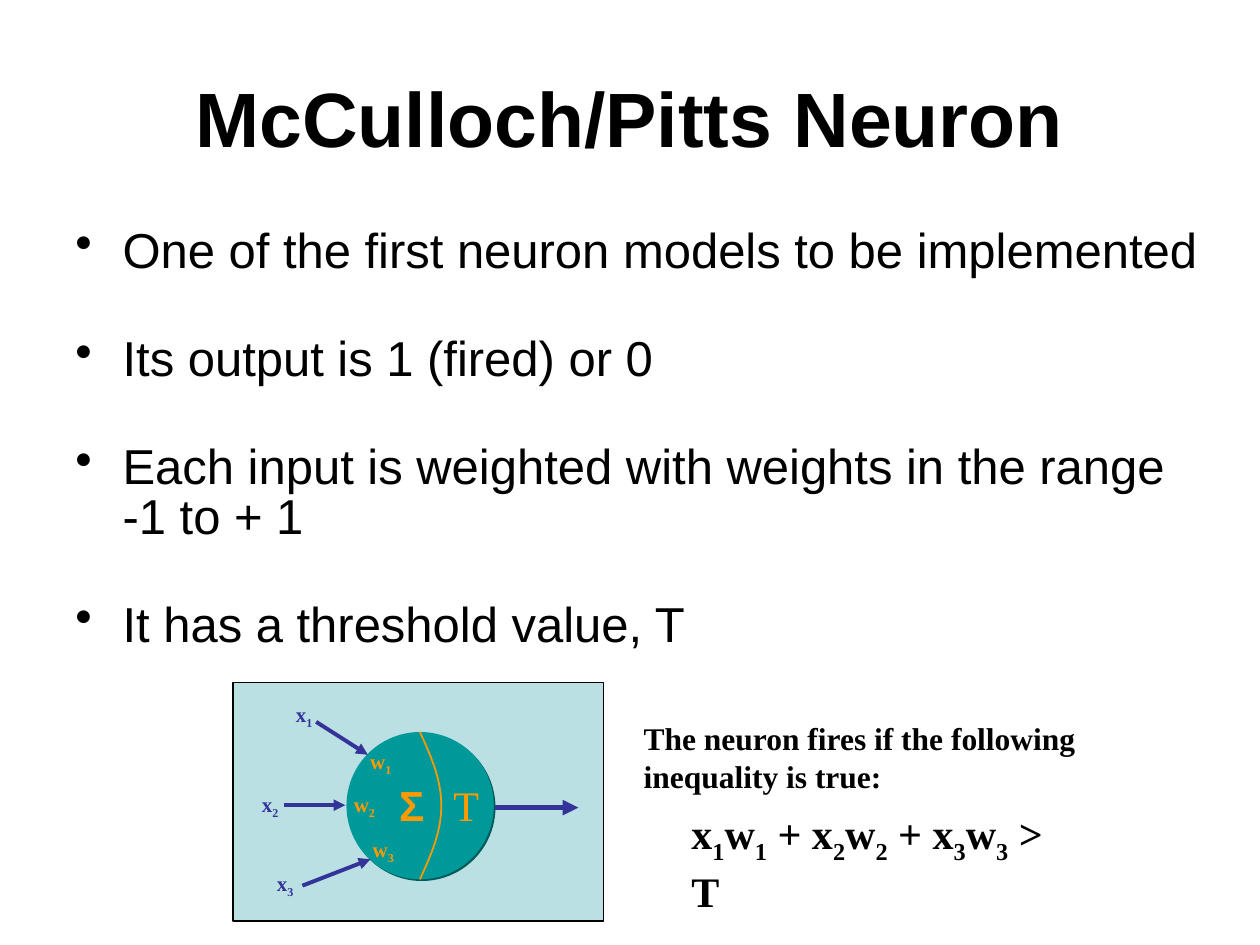
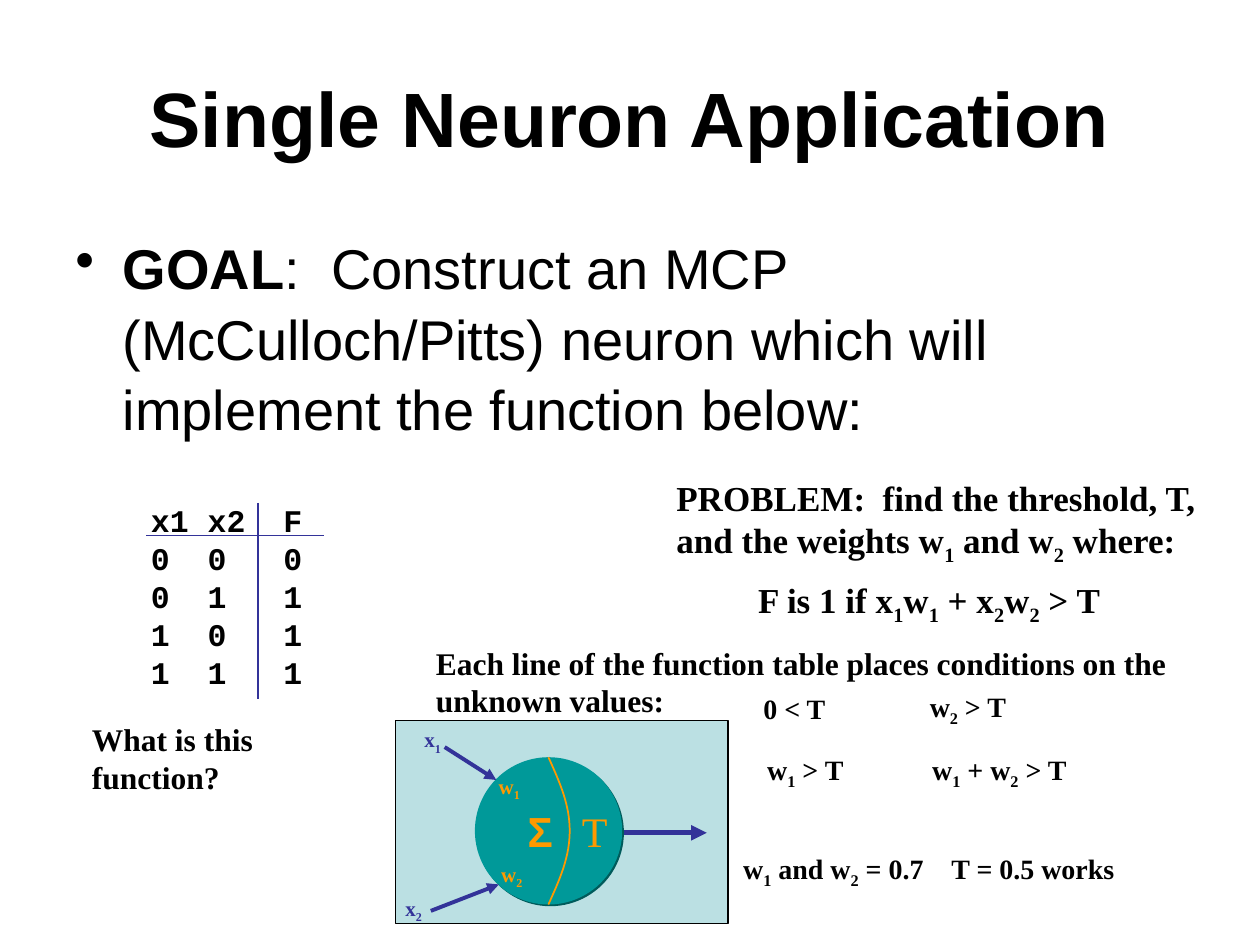
import math
from lxml import etree
from pptx import Presentation
from pptx.dml import color
from pptx.enum import shapes, text
from pptx.oxml import ns
from pptx.util import Pt

INK = {"text": "000000", "panel": "BBE0E3", "cell": "009999",
       "shade": "005B5B", "gold": "FF9900", "blue": "333399"}
SERIF, SANS, MONO = "Times New Roman", "Arial", "Courier New"


def rgb(name):
    return color.RGBColor.from_string(INK[name])


def sub(parent, tag, **attrs):
    return etree.SubElement(parent, ns.qn(tag), attrs)


class Deck:
    def __init__(self):
        self.prs = Presentation()
        self.prs.slide_width, self.prs.slide_height = Pt(720), Pt(540)
        self.slide = None

    def page(self, title):
        self.slide = self.prs.slides.add_slide(self.prs.slide_layouts[6])
        self.text(36, 21.6, 648, 90, [title], 44, face=SANS, wrap=True,
                  align=text.PP_ALIGN.CENTER, anchor=text.MSO_ANCHOR.MIDDLE)

    def frame(self, x, y, w, h, wrap):
        box = self.slide.shapes.add_textbox(Pt(x), Pt(y), Pt(w), Pt(h))
        frame = box.text_frame
        frame.word_wrap = wrap
        frame.auto_size = (text.MSO_AUTO_SIZE.NONE if wrap
                           else text.MSO_AUTO_SIZE.SHAPE_TO_FIT_TEXT)
        return frame

    def paras(self, frame, count):
        return [frame.paragraphs[0]] + [frame.add_paragraph()
                                        for _ in range(count - 1)]

    def font(self, para, size, face, ink="text", bold=False):
        font = para.font
        font.size, font.name, font.bold = Pt(size), face, bold
        font.color.rgb = rgb(ink)

    def runs(self, para, line):
        head, *tails = line.split("_")
        if head:
            para.add_run().text = head
        for tail in tails:
            low = para.add_run()
            low.text = tail[0]
            low._r.get_or_add_rPr().set("baseline", "-25000")
            if tail[1:]:
                para.add_run().text = tail[1:]

    def text(self, x, y, w, h, lines, size, ink="text", face=SERIF, bold=True,
             wrap=False, align=None, anchor=text.MSO_ANCHOR.TOP, tabs=()):
        frame = self.frame(x, y, w, h, wrap)
        frame.vertical_anchor = anchor
        for para, line in zip(self.paras(frame, len(lines)), lines):
            self.runs(para, line)
            para.alignment = align
            if tabs:
                stops = sub(para._p.get_or_add_pPr(), "a:tabLst")
                for stop in tabs:
                    sub(stops, "a:tab", pos=str(Pt(stop)), algn="l")
            self.font(para, size, face, ink, bold)

    def bullets(self, x, y, w, h, lines, size, pitch, gap=0):
        frame = self.frame(x, y, w, h, True)
        for i, (para, line) in enumerate(zip(self.paras(frame, len(lines)), lines)):
            lead, rest = line
            if lead:
                run = para.add_run()
                run.text, run.font.bold = lead, True
            self.runs(para, rest)
            props = para._p.get_or_add_pPr()
            props.set("marL", str(Pt(27)))
            props.set("indent", str(Pt(-27)))
            sub(props, "a:buChar", char="•")
            para.line_spacing = pitch
            if i:
                para.space_before = Pt(gap)
            self.font(para, size, SANS)

    def shape(self, kind, x, y, w, h, fill, line=None):
        shape = self.slide.shapes.add_shape(kind, Pt(x), Pt(y), Pt(w), Pt(h))
        shape.fill.solid()
        shape.fill.fore_color.rgb = rgb(fill)
        if line:
            shape.line.color.rgb = rgb(line)
            shape.line.width = Pt(0.75)
        else:
            shape.line.fill.background()
        shape.shadow.inherit = False
        return shape

    def panel(self, x, y, w, h):
        self.shape(shapes.MSO_SHAPE.RECTANGLE, x, y, w, h, "panel", "text")

    def line(self, x1, y1, x2, y2, width, arrow=True):
        link = self.slide.shapes.add_connector(
            shapes.MSO_CONNECTOR.STRAIGHT, Pt(x1), Pt(y1), Pt(x2), Pt(y2))
        link.line.color.rgb = rgb("blue")
        link.line.width = Pt(width)
        if arrow:
            sub(link.line._get_or_add_ln(), "a:tailEnd", type="triangle")
        sub(link._element.spPr, "a:effectLst")

    def arc(self, x, y, w, h, steps=32):
        pts = [(Pt(x + w * math.sin(math.pi * i / steps)), Pt(y + h * i / steps))
               for i in range(steps + 1)]
        path = self.slide.shapes.build_freeform(*pts[0])
        path.add_line_segments(pts[1:], close=False)
        curve = path.convert_to_shape()
        curve.fill.background()
        curve.line.color.rgb = rgb("gold")
        curve.line.width = Pt(1)
        curve.shadow.inherit = False

    def neuron(self, x, y, spots):
        ball = self.shape(shapes.MSO_SHAPE.OVAL, x, y, 84.2, 84.2, "cell")
        glow = sub(ball._element.spPr.find(ns.qn("a:effectLst")), "a:outerShdw",
                   dist=str(Pt(1.4)), dir="2700000", algn="ctr",
                   rotWithShape="0")
        sub(glow, "a:srgbClr", val=INK["shade"])
        self.arc(x + 42, y, 12.2, 84.2)
        self.text(x + 54, y + 23.8, 28.8, 36, ["T"], 24, "gold", bold=False)
        self.text(x + 23, y + 23.8, 28, 36, ["Σ"], 24, "gold", SANS)
        self.line(x + 85, y + 43.2, x + 132.5, y + 43.2, 3)
        for i, (weight, tail, tip, label) in enumerate(spots, 1):
            self.text(x + weight[0], y + weight[1], 26.6, 23.8,
                      [f"w_{i}"], 12, "gold")
            self.line(x + tail[0], y + tail[1], x + tip[0], y + tip[1], 2.25)
            self.text(x + label[0], y + label[1], 23.8, 23.8,
                      [f"x_{i}"], 12, "blue")


TOP = ((6.5, 5.8), (-17.3, -5.8), (12.2, 13), (-36, -20.9))
MID = ((-2.9, 30.2), (-36, 41.8), (-0.7, 41.8), (-55.4, 30.2))
LOW = ((7.9, 56.2), (-25.2, 87.8), (13.7, 72.7), (-46.8, 75.6))


def model(deck):
    deck.page("McCulloch/Pitts Neuron")
    deck.panel(133.2, 390.2, 211.7, 136.1)
    deck.bullets(36, 127.5, 668, 250, [
        ("", "One of the first neuron models to be implemented"),
        ("", "Its output is 1 (fired) or 0"),
        ("", "Each input is weighted with weights in the range -1 to + 1"),
        ("", "It has a threshold value, T")], 28, 0.84, 33.5)
    deck.neuron(198, 418.3, [TOP, MID, LOW])
    deck.text(360.7, 407.5, 262, 50.4, ["The neuron fires if the following",
                                        "inequality is true:"], 18)
    deck.text(388, 458, 229.7, 40.3, ["x_1w_1 + x_2w_2 + x_3w_3 > T"], 24)


def task(deck):
    deck.page("Single Neuron Application")
    deck.panel(226, 411.8, 190, 116)
    deck.bullets(36, 128, 648, 130, [
        ("GOAL", ":  Construct an MCP (McCulloch/Pitts) neuron which will "
         "implement the function below:")], 32, 1.05)
    rows = ["x1\tx2\tF"] + [f"{a}\t{b}\t{a | b}" for a in (0, 1) for b in (0, 1)]
    deck.text(79.2, 283, 100.8, 115.2, rows, 18, face=MONO, tabs=(32.4, 75.6))
    deck.line(83.5, 306, 185, 306, 1, False)
    deck.line(147.6, 287.3, 147.6, 399.6, 1, False)
    deck.text(45.4, 408.2, 183.6, 28.8, ["What is this function?"], 18)
    deck.neuron(271.4, 432.7, [TOP, LOW])
    deck.text(379.4, 268.6, 318.2, 59, ["PROBLEM:  find the threshold, T,",
                                        "and the weights w_1 and w_2 where:"], 20)
    deck.text(426.2, 326.9, 211, 34.6, ["F is 1 if x_1w_1 + x_2w_2 > T"], 20)
    deck.text(242, 364.3, 432, 50.4, [
        "Each line of the function table places conditions on the",
        "unknown values:"], 18)
    for x, y, w, h, rule in [
            (429.1, 391.7, 49.7, 26.6, "0 < T"),
            (431.3, 426.2, 58.3, 29.5, "w_1 > T"),
            (524.2, 390.2, 58.3, 29.5, "w_2 > T"),
            (525.6, 426.2, 91.4, 29.5, "w_1 + w_2 > T")]:
        deck.text(x, y, w, h, [rule], 16)
    deck.text(417.6, 483.1, 226.8, 29.5,
              ["w_1 and w_2 = 0.7\tT = 0.5 works"], 16, tabs=(119,))


def main():
    deck = Deck()
    model(deck)
    task(deck)
    deck.prs.save("out.pptx")


if __name__ == "__main__":
    main()
